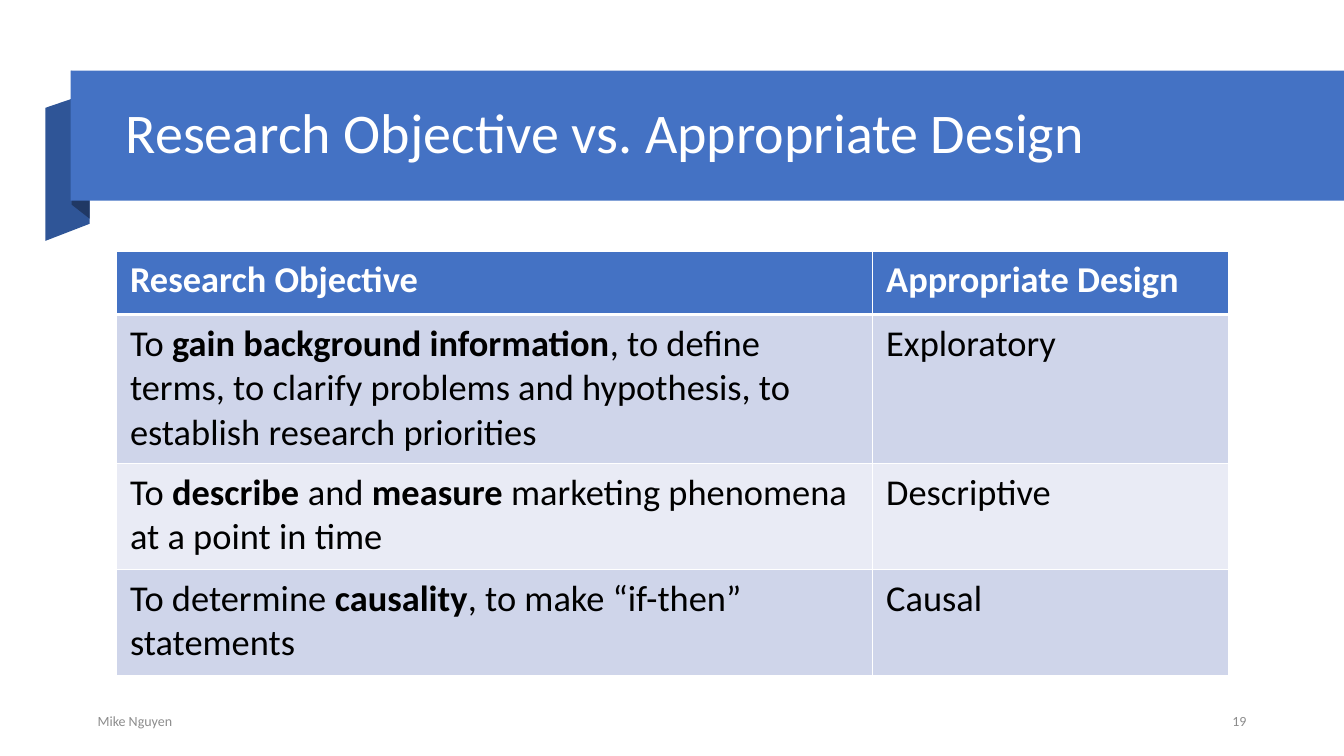
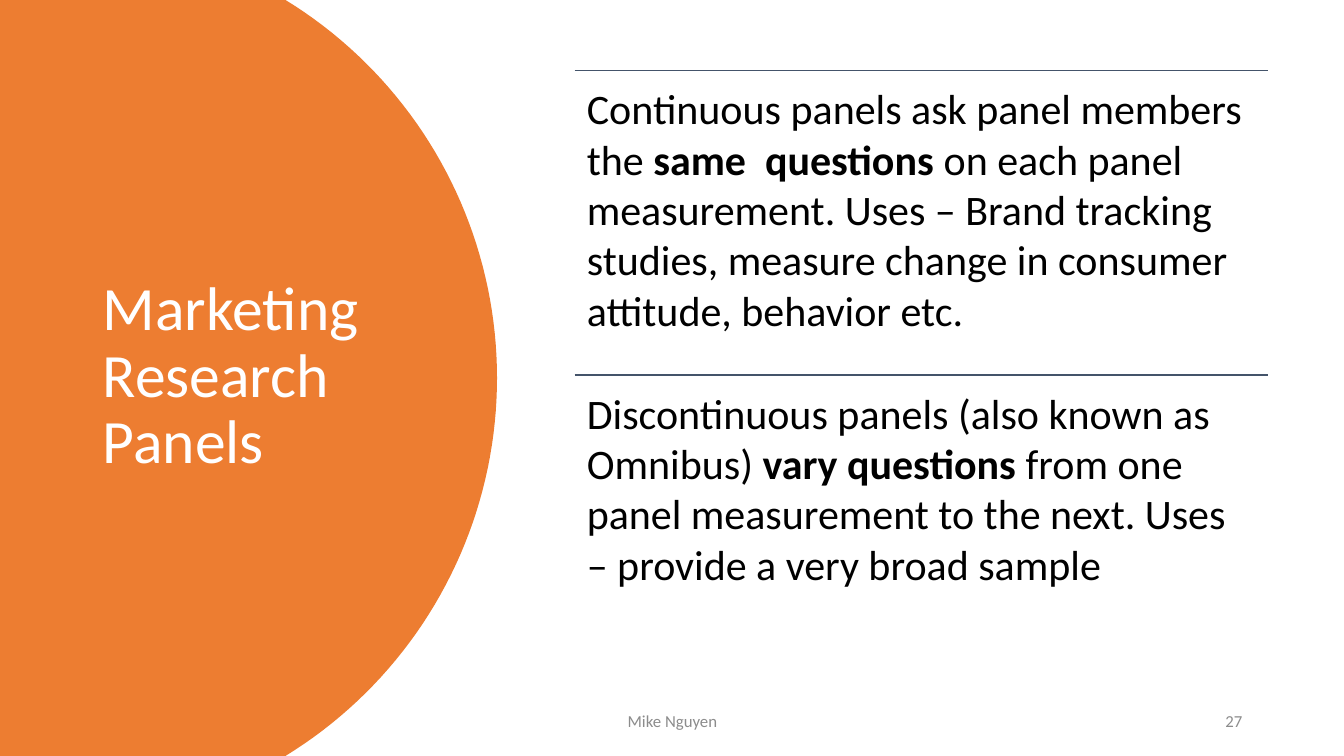
import math

import lxml.etree
import pptx
import pptx.dml.color
import pptx.enum.shapes
import pptx.enum.text
import pptx.oxml.ns
import pptx.util

Inches = pptx.util.Inches
Pt = pptx.util.Pt
ALIGN = pptx.enum.text.PP_ALIGN
ANCHOR = pptx.enum.text.MSO_ANCHOR
qn = pptx.oxml.ns.qn

SLIDE_WIDTH, SLIDE_HEIGHT = 13.33, 7.5
BLANK_LAYOUT = 6
FONT = "Calibri"
WHITE, BLACK, GRAY = "FFFFFF", "000000", "8C8C8C"
BLUE, MID_BLUE, DARK_BLUE = "4472C4", "2F5597", "203864"
ORANGE, SLATE = "ED7D31", "44546A"
ROW_FILLS = ("CFD5EA", "E9EBF5")
AUTHOR = "Mike Nguyen"


def color(hex_string):
    return pptx.dml.color.RGBColor.from_string(hex_string)


def apply_format(target, values):
    for name, value in values.items():
        setattr(target, name, value)


def paint(shape, fill):
    shape.fill.solid()
    shape.fill.fore_color.rgb = color(fill)
    shape.line.fill.background()
    shape.shadow.inherit = False


def write(paragraph, text, size, text_color, bold=False, **layout):
    """Write text in one paragraph; parts between ** are bold."""
    apply_format(paragraph, layout)
    for index, part in enumerate(text.split("**")):
        if part:
            run = paragraph.add_run()
            run.text = part
            apply_format(run.font, {
                "name": FONT, "size": Pt(size), "bold": bold or index % 2 == 1})
            run.font.color.rgb = color(text_color)


def set_borders(cell, bottom_width):
    """Draw white borders of 1 point, with the given width at the bottom."""
    properties = cell._tc.get_or_add_tcPr()
    widths = {"a:lnL": 1, "a:lnR": 1, "a:lnT": 1, "a:lnB": bottom_width}
    for index, (tag, width) in enumerate(widths.items()):
        line = lxml.etree.Element(qn(tag), w=str(Pt(width)))
        fill = lxml.etree.SubElement(line, qn("a:solidFill"))
        lxml.etree.SubElement(fill, qn("a:srgbClr"), val=WHITE)
        properties.insert(index, line)


class Deck:
    def __init__(self):
        self.presentation = pptx.Presentation()
        self.presentation.slide_width = Inches(SLIDE_WIDTH)
        self.presentation.slide_height = Inches(SLIDE_HEIGHT)
        self.slide = None

    def new_slide(self):
        layout = self.presentation.slide_layouts[BLANK_LAYOUT]
        self.slide = self.presentation.slides.add_slide(layout)

    def text(self, box, text, size, text_color, anchor=ANCHOR.MIDDLE,
             inset=(0.1, 0.05), **layout):
        shape = self.slide.shapes.add_textbox(*map(Inches, box))
        horizontal, vertical = map(Inches, inset)
        apply_format(shape.text_frame, {
            "word_wrap": True, "vertical_anchor": anchor,
            "margin_left": horizontal, "margin_right": horizontal,
            "margin_top": vertical, "margin_bottom": vertical})
        write(shape.text_frame.paragraphs[0], text, size, text_color, **layout)

    def title(self, box, text, size):
        self.text(box, text, size, WHITE, line_spacing=0.9)

    def footer(self, author_box, number_box, number, size, author_align):
        self.text(author_box, AUTHOR, size, GRAY, alignment=author_align)
        self.text(number_box, str(number), size, GRAY, alignment=ALIGN.RIGHT)

    def rectangle(self, box, fill):
        kind = pptx.enum.shapes.MSO_SHAPE.RECTANGLE
        paint(self.slide.shapes.add_shape(kind, *map(Inches, box)), fill)

    def polygon(self, points, fill):
        start, *others = [(Inches(x), Inches(y)) for x, y in points]
        builder = self.slide.shapes.build_freeform(*start)
        builder.add_line_segments(others, close=True)
        paint(builder.convert_to_shape(), fill)

    def rule(self, left, top, width):
        """Draw a thin horizontal line."""
        kind = pptx.enum.shapes.MSO_CONNECTOR.STRAIGHT
        ends = map(Inches, (left, top, left + width, top))
        connector = self.slide.shapes.add_connector(kind, *ends)
        connector.line.width = Pt(1)
        connector.line.color.rgb = color(SLATE)
        lxml.etree.SubElement(connector._element.spPr, qn("a:effectLst"))

    def table(self, left, top, widths, heights, rows, size):
        box = map(Inches, (left, top, sum(widths), sum(heights)))
        table = self.slide.shapes.add_table(len(rows), len(widths), *box).table
        for column, width in zip(table.columns, widths):
            column.width = Inches(width)
        for index, (row, height, texts) in enumerate(
                zip(table.rows, heights, rows)):
            row.height = Inches(height)
            header = index == 0
            fill = BLUE if header else ROW_FILLS[(index - 1) % 2]
            for cell, text in zip(row.cells, texts):
                apply_format(cell, {
                    "margin_left": Inches(0.14), "margin_right": Inches(0.14),
                    "margin_top": Inches(0.07), "margin_bottom": Inches(0.07)})
                cell.fill.solid()
                cell.fill.fore_color.rgb = color(fill)
                set_borders(cell, 3 if header else 1)
                write(cell.text_frame.paragraphs[0], text, size,
                      WHITE if header else BLACK, bold=header)


def add_design_slide(deck):
    deck.new_slide()
    deck.polygon([(0.89, 2.22), (0.45, 2.39), (0.45, 1.07), (0.89, 0.92)],
                 MID_BLUE)
    deck.polygon([(0.89, 2.17), (0.71, 2.03), (0.71, 0.7), (0.89, 0.85)],
                 DARK_BLUE)
    deck.rectangle((0.7, 0.7, SLIDE_WIDTH - 0.7, 1.29), BLUE)
    deck.title((1.15, 0.86, 11.27, 0.96),
               "Research Objective vs. Appropriate Design", 40)
    deck.footer((0.87, 6.98, 7.39, 0.35), (11.71, 6.98, 0.75, 0.35),
                19, 10, ALIGN.LEFT)
    rows = [
        ("Research Objective", "Appropriate Design"),
        ("To **gain background information**, to define terms, to clarify "
         "problems and hypothesis, to establish research priorities",
         "Exploratory"),
        ("To **describe** and **measure** marketing phenomena at a point "
         "in time", "Descriptive"),
        ("To determine **causality**, to make “if-then” statements", "Causal"),
    ]
    deck.table(1.15, 2.49, (7.5, 3.54), (0.63, 1.48, 1.05, 1.05), rows, 26)


def add_panels_slide(deck):
    deck.new_slide()
    radius, center_x, center_y = 4.4, 0.53, SLIDE_HEIGHT / 2
    half_angle = math.asin(center_y / radius)
    steps = 80
    angles = [half_angle * (2 * step / steps - 1) for step in range(steps + 1)]
    arc = [(center_x + radius * math.cos(angle),
            center_y + radius * math.sin(angle)) for angle in angles]
    deck.polygon([(0, 0), *arc, (0, SLIDE_HEIGHT)], ORANGE)
    deck.title((0.92, 0.7, 3.23, 6.09), "Marketing Research Panels", 44)

    panels = [
        "Continuous panels ask panel members the **same  questions** on each "
        "panel measurement. Uses – Brand tracking studies, measure change in "
        "consumer attitude, behavior etc.",
        "Discontinuous panels (also known as Omnibus) **vary questions **from "
        "one panel measurement to the next. Uses – provide a very broad sample",
    ]
    left, width, height = 5.7, 6.88, 3.02
    for index, panel in enumerate(panels):
        top = 0.7 + index * height
        deck.rule(left, top, width)
        deck.text((left, top, width, height), panel, 30, BLACK,
                  anchor=ANCHOR.TOP, inset=(0.12, 0.12))
    deck.footer((4.42, 6.95, 4.5, 0.4), (9.42, 6.95, 3, 0.4),
                27, 12, ALIGN.CENTER)


def main():
    deck = Deck()
    add_design_slide(deck)
    add_panels_slide(deck)
    deck.presentation.save("out.pptx")


if __name__ == "__main__":
    main()
